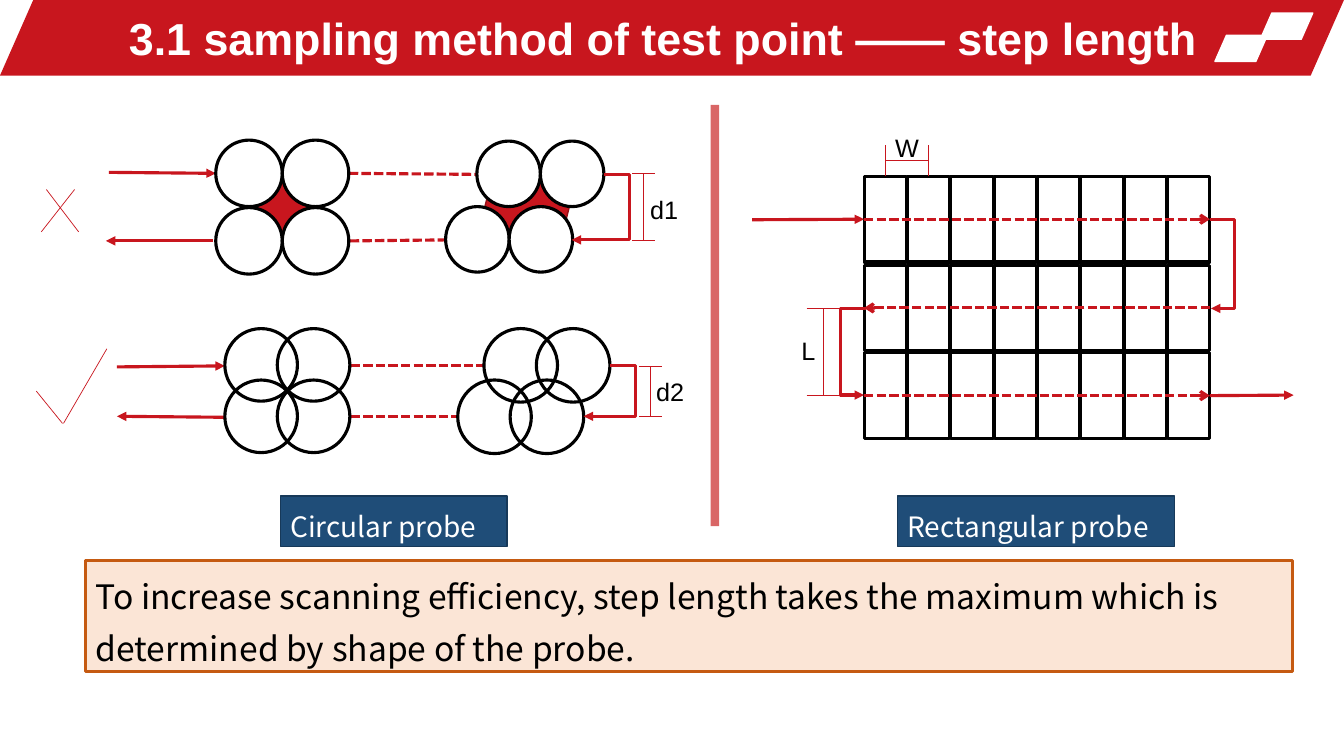
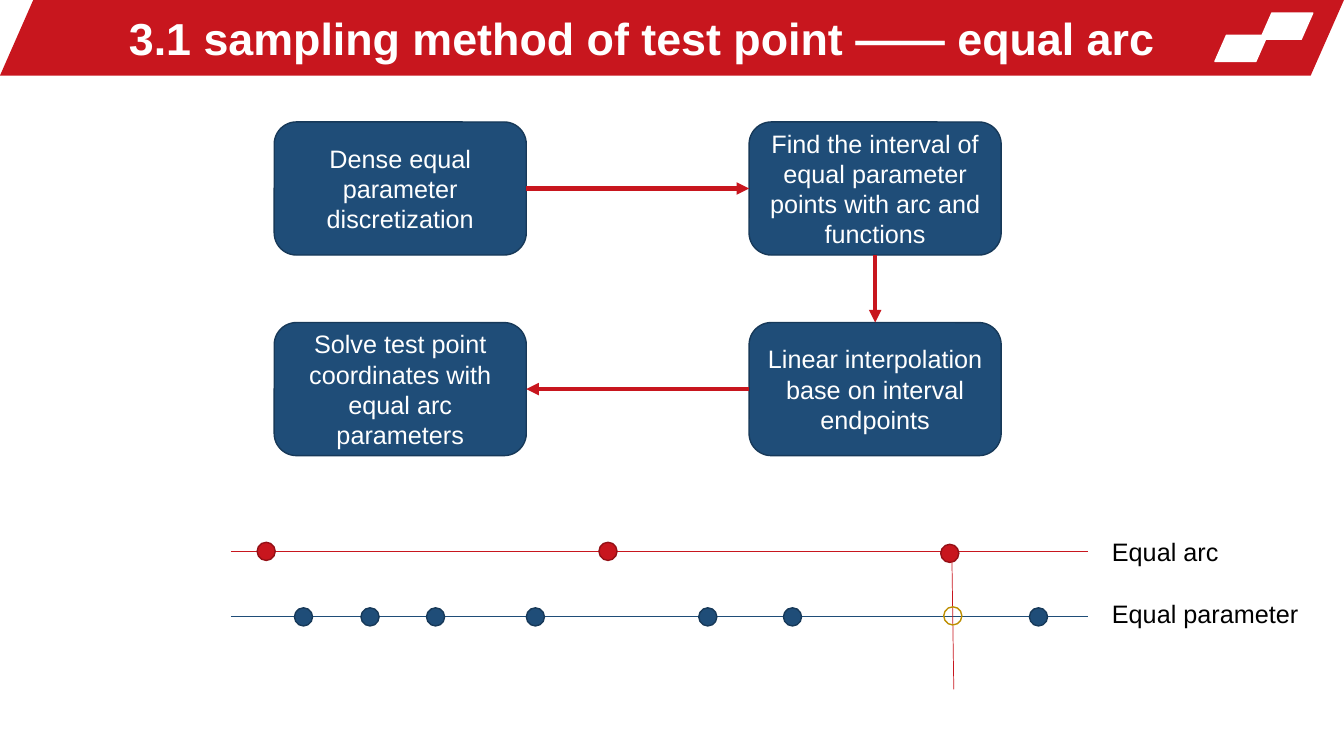
import dataclasses

import lxml.etree
import pptx
import pptx.dml.color
import pptx.enum.dml
import pptx.enum.shapes
import pptx.enum.text
import pptx.oxml.ns
import pptx.util

SHAPE = pptx.enum.shapes.MSO_SHAPE
CONNECTOR = pptx.enum.shapes.MSO_CONNECTOR
ALIGN = pptx.enum.text.PP_ALIGN
ANCHOR = pptx.enum.text.MSO_ANCHOR
TOP, LEFT, BOTTOM, RIGHT = range(4)
EMU_PER_PX = 9144


@dataclasses.dataclass(frozen=True)
class Theme:
    red: str = "C8161E"
    red_edge: str = "941016"
    divider: str = "C00000"
    blue: str = "1F4D78"
    blue_edge: str = "173959"
    peach: str = "FBE5D6"
    orange: str = "C55A11"
    gold: str = "BD8E00"
    white: str = "FFFFFF"
    black: str = "000000"
    font: str = "Arial"
    note_font: str = "Noto Sans CJK SC"
    title_size: int = 32
    note_size: int = 24
    caption_size: int = 20
    label_size: int = 18
    hairline: float = 0.5
    outline: float = 1
    stroke: float = 2.25
    flow_line: float = 3


THEME = Theme()


def px(value):
    return pptx.util.Emu(int(value * EMU_PER_PX))


def rgb(color):
    return pptx.dml.color.RGBColor.from_string(color)


def write_text(shape, text, *, size=THEME.label_size, color=THEME.black,
               font=THEME.font, bold=False, align=ALIGN.LEFT,
               anchor=ANCHOR.MIDDLE, spacing=None, wrap=True):
    frame = shape.text_frame
    frame.word_wrap = wrap
    frame.vertical_anchor = anchor
    paragraph = frame.paragraphs[0]
    paragraph.alignment = align
    paragraph.line_spacing = spacing
    run = paragraph.add_run()
    run.text = text
    run.font.name = font
    run.font.size = pptx.util.Pt(size)
    run.font.bold = bold
    run.font.color.rgb = rgb(color)


def add_label(slide, text, left, top, width, height=40, **text_format):
    box = slide.shapes.add_textbox(px(left), px(top), px(width), px(height))
    write_text(box, text, **text_format)


def add_shape(slide, kind, left, top, width, height, *, fill=None, line=None,
              weight=THEME.outline, adjustment=None):
    shape = slide.shapes.add_shape(kind, px(left), px(top), px(width), px(height))
    shape.shadow.inherit = False
    if adjustment is not None:
        shape.adjustments[0] = adjustment
    if fill:
        shape.fill.solid()
        shape.fill.fore_color.rgb = rgb(fill)
    else:
        shape.fill.background()
    if line:
        shape.line.color.rgb = rgb(line)
        shape.line.width = pptx.util.Pt(weight)
    else:
        shape.line.fill.background()
    return shape


def add_xml(parent, tag, **attributes):
    return lxml.etree.SubElement(parent, pptx.oxml.ns.qn(tag), **attributes)


def add_line(slide, start, end, *, color=THEME.red, weight=THEME.stroke,
             dashed=False, arrow=None, bend_x=None, opacity=None,
             start_join=None, end_join=None):
    kind = CONNECTOR.STRAIGHT if bend_x is None else CONNECTOR.ELBOW
    connector = slide.shapes.add_connector(kind, *map(px, (*start, *end)))
    if start_join:
        connector.begin_connect(*start_join)
    if end_join:
        connector.end_connect(*end_join)
    connector.line.color.rgb = rgb(color)
    connector.line.width = pptx.util.Pt(weight)
    if dashed:
        connector.line.dash_style = pptx.enum.dml.MSO_LINE.SQUARE_DOT
    properties = connector._element.spPr
    if bend_x is not None:
        ratio = (bend_x - start[0]) / (end[0] - start[0])
        guides = properties.find(pptx.oxml.ns.qn("a:prstGeom")).get_or_add_avLst()
        add_xml(guides, "a:gd", name="adj1", fmla=f"val {round(ratio * 100000)}")
    outline = properties.find(pptx.oxml.ns.qn("a:ln"))
    if opacity is not None:
        solid_color = outline.find(".//" + pptx.oxml.ns.qn("a:srgbClr"))
        add_xml(solid_color, "a:alpha", val=str(opacity * 1000))
    if arrow:
        add_xml(outline, "a:tailEnd", type=arrow)
    add_xml(properties, "a:effectLst")
    return connector


def add_titled_slide(presentation, title):
    slide = presentation.slides.add_slide(presentation.slide_layouts[6])
    add_shape(slide, SHAPE.PARALLELOGRAM, 0, 0, 1333, 75, fill=THEME.red,
              adjustment=0.44)
    for left, top in ((1250, 13), (1205, 35)):
        add_shape(slide, SHAPE.PARALLELOGRAM, left, top, 52, 26,
                  fill=THEME.white, line=THEME.white, adjustment=0.44)
    add_label(slide, title, 118, 5, 1084, 65, size=THEME.title_size,
              color=THEME.white, bold=True)
    return slide


def add_probe_cluster(slide, left, top, width, height, *, step, row_step,
                      shift=0, fill=None):
    for row_left, row_top in ((left, top + row_step), (left + shift, top)):
        for column in range(2):
            add_shape(slide, SHAPE.OVAL, row_left + column * step, row_top,
                      width, height, fill=fill, line=THEME.black,
                      weight=THEME.stroke)


def add_strokes(slide, *segments):
    for start, end in segments:
        add_line(slide, start, end, weight=THEME.hairline)


def add_height_mark(slide, left, right, top, bottom):
    middle = (left + right) // 2
    add_strokes(slide, ((left, top), (right, top)),
                ((left, bottom), (right, bottom)),
                ((middle, bottom), (middle, top)))


def add_width_mark(slide, left, right, top, bottom):
    middle = (top + bottom) // 2
    add_strokes(slide, ((left, bottom), (left, top)),
                ((right, bottom), (right, top)),
                ((right, middle), (left, middle)))


def add_note(slide, text, left, top, width, height, *, fill, line, weight,
             size, color):
    note = add_shape(slide, SHAPE.RECTANGLE, left, top, width, height,
                     fill=fill, line=line, weight=weight)
    write_text(note, text, size=size, color=color, font=THEME.note_font,
               spacing=1.3)


def draw_circular_probe(slide):
    add_shape(slide, SHAPE.PARALLELOGRAM, 473, 172, 100, 65, fill=THEME.red,
              line=THEME.red_edge)
    add_shape(slide, SHAPE.RECTANGLE, 246, 171, 68, 67, fill=THEME.red,
              line=THEME.red_edge)
    for start, end in (((108, 171), (214, 172)), ((211, 239), (105, 239)),
                       ((116, 364), (223, 363)), ((223, 414), (116, 413))):
        add_line(slide, start, end, arrow="triangle")
    for start, end in (((346, 172), (473, 173)), ((347, 239), (443, 238)),
                       ((348, 363), (480, 363)), ((348, 413), (454, 413))):
        add_line(slide, start, end, dashed=True)
    add_probe_cluster(slide, 214, 139, 66, 66, step=66, row_step=67,
                      fill=THEME.white)
    add_probe_cluster(slide, 442, 140, 63, 65, step=63, row_step=65, shift=31,
                      fill=THEME.white)
    add_probe_cluster(slide, 223, 326, 72, 72, step=52, row_step=51)
    add_probe_cluster(slide, 454, 326, 73, 73, step=52, row_step=51, shift=26)
    add_line(slide, (599, 173), (567, 238), bend_x=624, arrow="triangle")
    add_line(slide, (605, 363), (579, 413), bend_x=630, arrow="triangle")
    add_height_mark(slide, 627, 650, 172, 238)
    add_height_mark(slide, 634, 657, 363, 413)
    add_label(slide, "d1", 635, 188, 66)
    add_label(slide, "d2", 641, 368, 67)
    add_strokes(slide, ((46, 188), (78, 230)), ((41, 230), (74, 188)),
                ((36, 388), (62, 420)), ((63, 420), (106, 346)))


def draw_rectangular_probe(slide):
    rows = [[add_shape(slide, SHAPE.RECTANGLE, 857 + 43 * column, top, 42, 85,
                       line=THEME.black, weight=THEME.stroke)
             for column in range(8)] for top in (175, 263, 350)]
    for row, y, forward in zip(rows, (218, 306, 392), (True, False, True)):
        ends = [((857, y), (row[0], LEFT)), ((1200, y), (row[-1], RIGHT))]
        (start, start_join), (end, end_join) = ends if forward else ends[::-1]
        add_line(slide, start, end, dashed=True, arrow="arrow",
                 start_join=start_join, end_join=end_join)
    add_line(slide, (746, 218), (857, 218), arrow="triangle",
             end_join=(rows[0][0], LEFT))
    add_line(slide, (1200, 392), (1283, 392), arrow="triangle",
             start_join=(rows[-1][-1], RIGHT))
    add_line(slide, (1200, 218), (1201, 306), bend_x=1225, arrow="triangle")
    add_line(slide, (859, 306), (857, 392), bend_x=834, arrow="triangle")
    add_height_mark(slide, 800, 834, 306, 392)
    add_width_mark(slide, 878, 921, 144, 175)
    add_label(slide, "L", 785, 328, 34, wrap=False)
    add_label(slide, "W", 878, 126, 44, wrap=False)


def build_step_length(presentation):
    slide = add_titled_slide(
        presentation, "3.1 sampling method of test point —— step length")
    draw_circular_probe(slide)
    draw_rectangular_probe(slide)
    add_line(slide, (709, 522), (709, 104), color=THEME.divider, weight=6,
             opacity=60)
    for text, left, width in (("Circular probe", 278, 225),
                              ("Rectangular probe", 890, 275)):
        add_note(slide, text, left, 492, width, 50, fill=THEME.blue,
                 line=THEME.blue_edge, weight=THEME.outline,
                 size=THEME.caption_size, color=THEME.white)
    add_note(slide, "To increase scanning efficiency, step length takes the "
             "maximum which is determined by shape of the probe.",
             85, 556, 1197, 110, fill=THEME.peach, line=THEME.orange, weight=2,
             size=THEME.note_size, color=THEME.black)


def draw_flow(slide):
    steps = []
    for text, left, top in (
            ("Dense equal parameter discretization", 272, 121),
            ("Find the interval of equal parameter points with arc and functions",
             743, 121),
            ("Linear interpolation base on interval endpoints", 743, 320),
            ("Solve test point coordinates with equal arc parameters", 272, 320)):
        step = add_shape(slide, SHAPE.ROUNDED_RECTANGLE, left, top, 250, 132,
                         fill=THEME.blue, line=THEME.blue_edge)
        write_text(step, text, color=THEME.white, align=ALIGN.CENTER)
        steps.append(step)
    sides = ((RIGHT, LEFT), (BOTTOM, TOP), (LEFT, RIGHT))
    for source, target, (leaving, entering) in zip(steps, steps[1:], sides):
        add_line(slide, (0, 0), (0, 0), weight=THEME.flow_line,
                 arrow="triangle", start_join=(source, leaving),
                 end_join=(target, entering))


def draw_point_row(slide, text, line_y, label_top, label_width, dots, fill, edge):
    add_line(slide, (229, line_y), (1079, line_y), color=fill,
             weight=THEME.hairline)
    for left, top in dots:
        add_shape(slide, SHAPE.OVAL, left, top, 18, 18, fill=fill, line=edge)
    add_label(slide, text, 1093, label_top, label_width)


def build_equal_arc(presentation):
    slide = add_titled_slide(
        presentation, "3.1 sampling method of test point —— equal arc")
    draw_flow(slide)
    draw_point_row(slide, "Equal parameter", 611, 589, 211,
                   [(left, 603) for left in (292, 358, 423, 522, 693, 777, 1021)],
                   THEME.blue, THEME.blue_edge)
    draw_point_row(slide, "Equal arc", 547, 527, 145,
                   [(255, 538), (594, 538), (933, 540)],
                   THEME.red, THEME.red_edge)
    add_strokes(slide, ((944, 543), (946, 684)))
    add_shape(slide, SHAPE.OVAL, 936, 602, 18, 18, line=THEME.gold)


def main():
    presentation = pptx.Presentation()
    presentation.slide_width = px(1333)
    presentation.slide_height = px(750)
    build_step_length(presentation)
    build_equal_arc(presentation)
    presentation.save("out.pptx")


if __name__ == "__main__":
    main()
